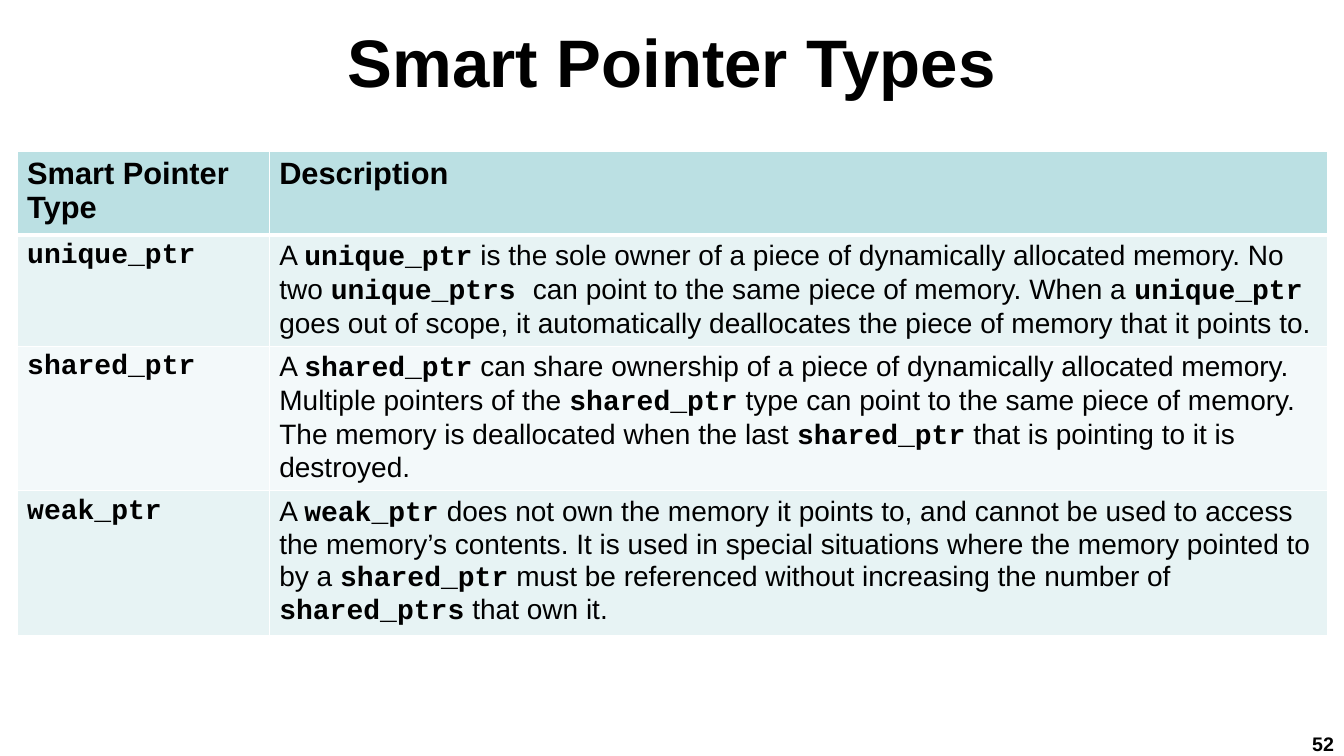
import pptx
import pptx.util
import pptx.dml.color
import pptx.enum.text
import pptx.oxml
import pptx.oxml.ns

Inches, Pt = pptx.util.Inches, pptx.util.Pt
ALIGN, ANCHOR = pptx.enum.text.PP_ALIGN, pptx.enum.text.MSO_ANCHOR

# Content: backticks mark code words
TITLE = "Smart Pointer Types"
NUMBER = "52"
HEADS = ["Smart Pointer Type", "Description"]
ROWS = [
    ("`unique_ptr`",
     "A `unique_ptr` is the sole owner of a piece of dynamically allocated "
     "memory. No two `unique_ptrs `can point to the same piece of memory. "
     "When a `unique_ptr `goes out of scope, it automatically deallocates "
     "the piece of memory that it points to."),
    ("`shared_ptr`",
     "A `shared_ptr` can share ownership of a piece of dynamically allocated "
     "memory. Multiple pointers of the `shared_ptr` type can point to the "
     "same piece of memory. The memory is deallocated when the last "
     "`shared_ptr` that is pointing to it is destroyed."),
    ("`weak_ptr`",
     "A `weak_ptr` does not own the memory it points to, and cannot be used "
     "to access the memory’s contents. It is used in special situations "
     "where the memory pointed to by a `shared_ptr` must be referenced "
     "without increasing the number of `shared_ptrs` that own it."),
]
WIDTHS = [2.5, 10.5]
HEIGHTS = [0.77, 1.08, 1.41, 1.41]
HEAD, BANDS = "BBE0E3", ["E7F3F4", "F3F9FA"]


def color(text):
    return pptx.dml.color.RGBColor.from_string(text)


def write(frame, text, size=20, bold=False, align=ALIGN.LEFT):
    """Fill a text frame, setting backticked words in bold code type."""
    frame.word_wrap = True
    para = frame.paragraphs[0]
    para.alignment = align
    for i, part in enumerate(text.split("`")):
        if not part:
            continue
        code = i % 2 == 1
        run = para.add_run()
        run.text = part
        run.font.name = "Courier New" if code else "Arial"
        run.font.size = Pt(size)
        run.font.bold = bold or code
        run.font.color.rgb = color("000000")


def edge(cell, side, width):
    """Draw one white border of a cell."""
    cell._tc.get_or_add_tcPr().append(pptx.oxml.parse_xml(
        f'<a:ln{side} {pptx.oxml.ns.nsdecls("a")} w="{Pt(width)}">'
        '<a:solidFill><a:srgbClr val="FFFFFF"/></a:solidFill>'
        f'</a:ln{side}>'))


deck = pptx.Presentation()
deck.slide_width, deck.slide_height = Inches(13.33), Inches(7.5)
slide = deck.slides.add_slide(deck.slide_layouts[5])

# Title
title = slide.shapes.title
title.left, title.top = Inches(0), Inches(0)
title.width, title.height = Inches(13.33), Inches(1.2)
title.text_frame.vertical_anchor = ANCHOR.MIDDLE
write(title.text_frame, TITLE, size=48, bold=True, align=ALIGN.CENTER)

# Slide number
box = slide.shapes.add_textbox(
    Inches(12.73), Inches(7.25), Inches(0.6), Inches(0.25))
frame = box.text_frame
frame.margin_top = frame.margin_bottom = 0
frame.vertical_anchor = ANCHOR.MIDDLE
write(frame, NUMBER, size=14, bold=True, align=ALIGN.RIGHT)

# Table
cells = [HEADS] + ROWS
table = slide.shapes.add_table(
    len(cells), len(HEADS), Inches(0.17), Inches(1.5),
    Inches(sum(WIDTHS)), Inches(sum(HEIGHTS))).table
for col, width in zip(table.columns, WIDTHS):
    col.width = Inches(width)
for r, texts in enumerate(cells):
    table.rows[r].height = Inches(HEIGHTS[r])
    first = r == 0
    for c, text in enumerate(texts):
        cell = table.cell(r, c)
        write(cell.text_frame, text, size=22 if first else 20, bold=first)
        for side in "LRTB":
            thick = (r, side) in [(0, "B"), (1, "T")]
            edge(cell, side, 3 if thick else 1)
        cell.fill.solid()
        cell.fill.fore_color.rgb = color(HEAD if first else BANDS[(r - 1) % 2])

deck.save("out.pptx")
